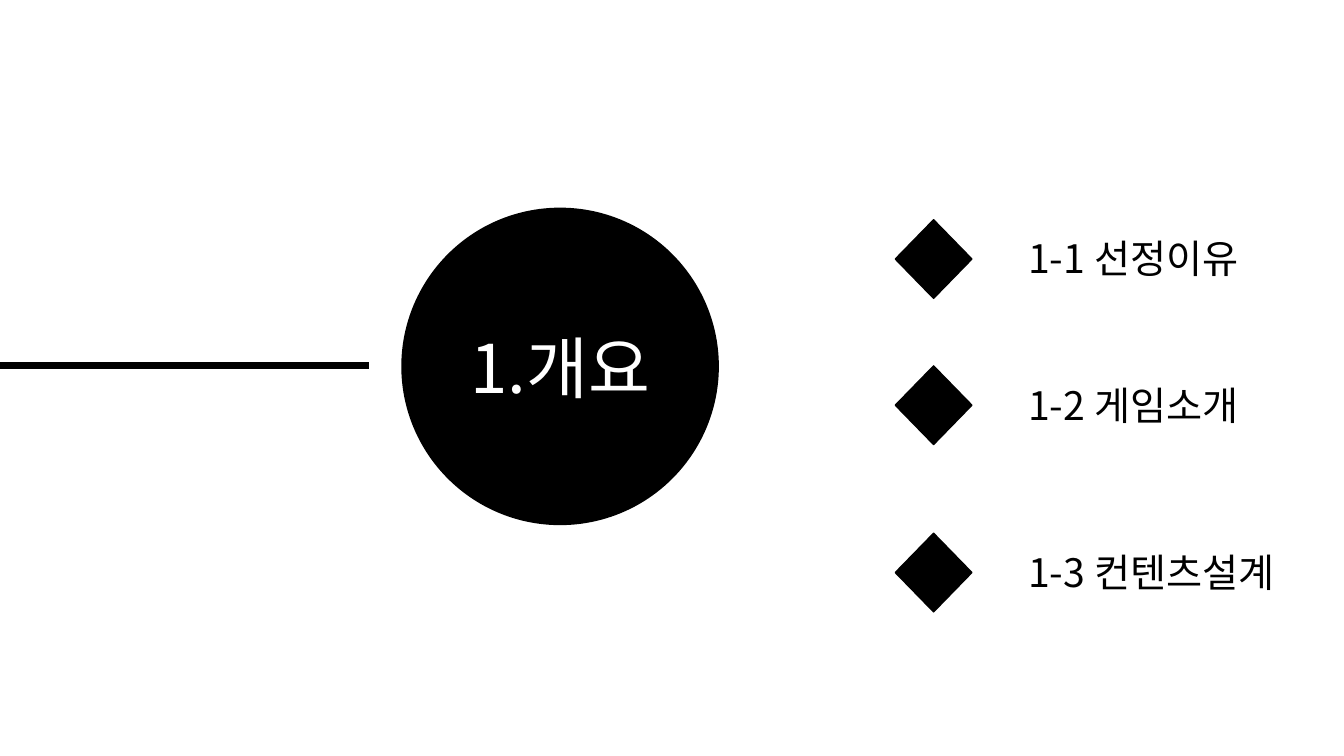
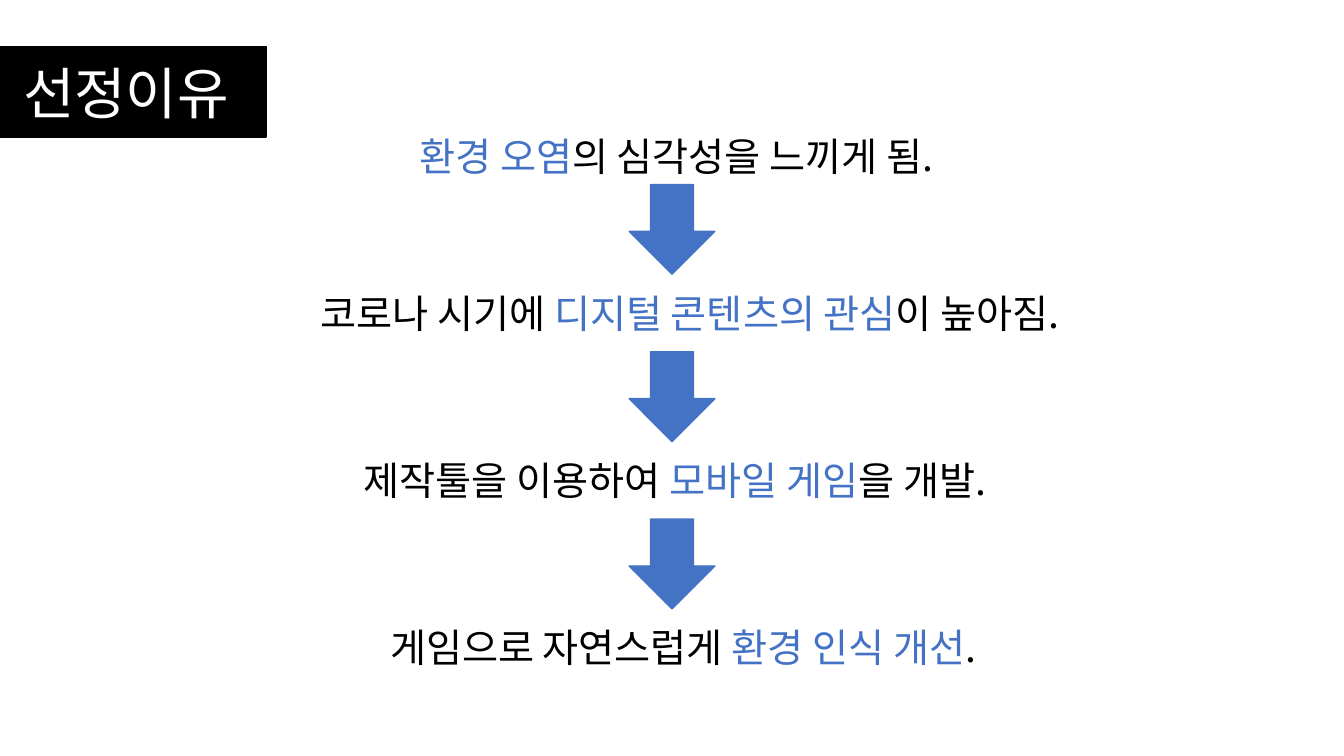
"""Build a section opener and a slide of reasons joined by arrows."""
from lxml.etree import SubElement
from pptx import Presentation
from pptx.dml.color import RGBColor
from pptx.enum.shapes import MSO_CONNECTOR, MSO_SHAPE
from pptx.enum.text import MSO_ANCHOR, MSO_AUTO_SIZE, PP_ALIGN
from pptx.oxml.ns import qn
from pptx.util import Inches, Pt

COLORS = {"black": "000000", "white": "FFFFFF", "blue": "4472C4"}
FONT = "Noto Sans CJK KR"


def add_solid(page, kind, left, top, width, height, color, outlined=True):
    shape = page.shapes.add_shape(kind, Inches(left), Inches(top), Inches(width), Inches(height))
    shape.shadow.inherit = False
    shape.fill.solid()
    shape.fill.fore_color.rgb = RGBColor.from_string(COLORS[color])
    if outlined:
        shape.line.color.rgb = RGBColor.from_string(COLORS[color])
        shape.line.width = Pt(1)
    else:
        shape.line.fill.background()
    return shape


def write(box, size, spans, align=PP_ALIGN.LEFT):
    para = box.text_frame.paragraphs[0]
    para.alignment = align
    para.font.size = Pt(size)
    para.font.name = FONT
    SubElement(para._p.pPr.find(qn("a:defRPr")), qn("a:ea"), typeface=FONT)
    for text, color in spans:
        span = para.add_run()
        span.text = text
        span.font.color.rgb = RGBColor.from_string(COLORS[color])


deck = Presentation()
deck.slide_width = Inches(13.33)
deck.slide_height = Inches(7.5)
blank = deck.slide_layouts[6]

opener = deck.slides.add_slide(blank)
rule = opener.shapes.add_connector(
    MSO_CONNECTOR.STRAIGHT, Inches(0), Inches(3.63), Inches(3.66), Inches(3.63))
rule.line.color.rgb = RGBColor.from_string(COLORS["black"])
rule.line.width = Pt(5)
SubElement(rule._element.spPr, qn("a:effectLst"))

circle = add_solid(opener, MSO_SHAPE.OVAL, 3.98, 2.06, 3.15, 3.15, "black", outlined=False)
circle.text_frame.vertical_anchor = MSO_ANCHOR.MIDDLE
write(circle, 48, [("1.개요", "white")], PP_ALIGN.CENTER)

topics = [("1-1 선정이유", 2.18, 2.46), ("1-2 게임소개", 3.63, 2.46), ("1-3 컨텐츠설계", 5.29, 2.69)]
for topic, top, width in topics:
    add_solid(opener, MSO_SHAPE.DIAMOND, 8.88, top, 0.76, 0.78, "black")
    box = opener.shapes.add_textbox(Inches(10.1), Inches(top + 0.1), Inches(width), Inches(0.57))
    box.text_frame.word_wrap = False
    box.text_frame.auto_size = MSO_AUTO_SIZE.SHAPE_TO_FIT_TEXT
    write(box, 28, [(topic, "black")])

reasons_page = deck.slides.add_slide(blank)
title = add_solid(reasons_page, MSO_SHAPE.RECTANGLE, -0.14, 0.46, 2.78, 0.9, "black")
title.text_frame.vertical_anchor = MSO_ANCHOR.MIDDLE
write(title, 40, [("선정이유", "white")], PP_ALIGN.CENTER)

reasons = [
    (4.06, 1.26, 5.22, False, [("환경 오염", "blue"), ("의 심각성을 느끼게 됨.", "black")]),
    (3.08, 2.82, 8.39, True,
     [("코로나 시기에 ", "black"), ("디지털 콘텐츠의 관심", "blue"), ("이 높아짐.", "black")]),
    (3.51, 4.48, 7.17, True,
     [("제작툴을 이용하여 ", "black"), ("모바일 게임", "blue"), ("을 개발.", "black")]),
    (3.77, 6.13, 7.17, True,
     [("게임으로 자연스럽게 ", "black"), ("환경 인식 개선", "blue"), (".", "black")]),
]
for index, (left, top, width, wraps, spans) in enumerate(reasons):
    box = reasons_page.shapes.add_textbox(Inches(left), Inches(top), Inches(width), Inches(0.57))
    box.text_frame.word_wrap = wraps
    box.text_frame.auto_size = MSO_AUTO_SIZE.SHAPE_TO_FIT_TEXT
    write(box, 28, spans)
    if index < len(reasons) - 1:
        add_solid(reasons_page, MSO_SHAPE.DOWN_ARROW, 6.24, 1.83 + 1.66 * index, 0.85, 0.89, "blue")

deck.save("out.pptx")
